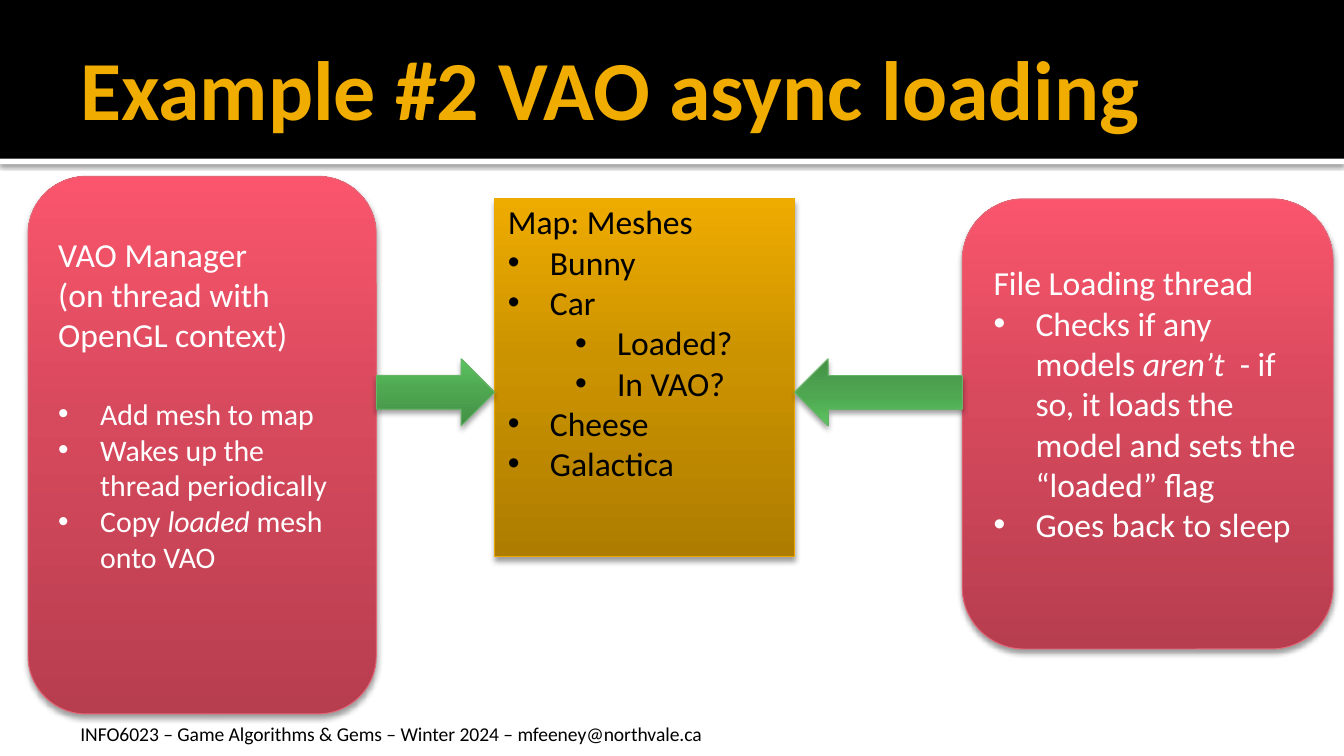
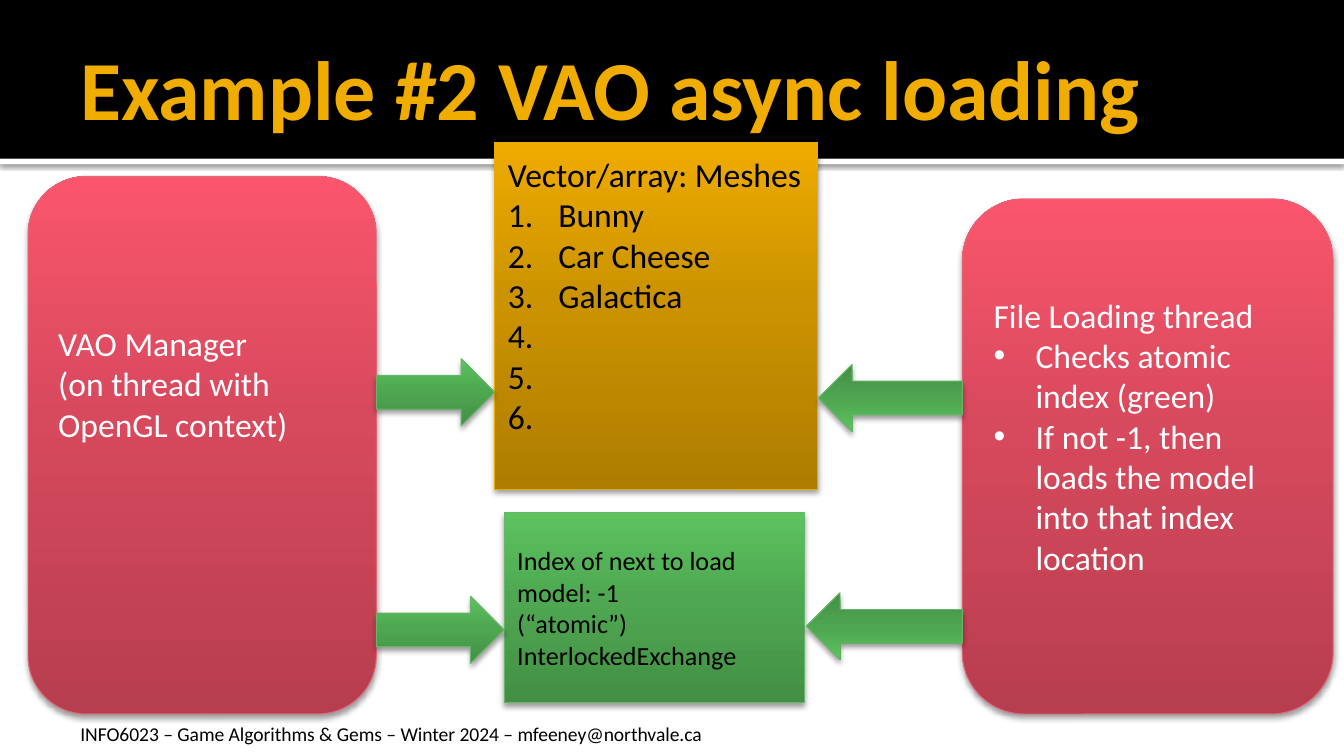
"""Builds two slides on asynchronous VAO loading."""
from dataclasses import dataclass

from pptx import Presentation
from pptx.dml.color import RGBColor
from pptx.enum.shapes import MSO_SHAPE
from pptx.enum.text import MSO_ANCHOR, PP_ALIGN
from pptx.oxml import parse_xml
from pptx.oxml.ns import nsdecls, qn
from pptx.util import Pt

RECT = MSO_SHAPE.RECTANGLE
ROUND = MSO_SHAPE.ROUNDED_RECTANGLE
ARROW = MSO_SHAPE.RIGHT_ARROW
MIDDLE = MSO_ANCHOR.MIDDLE
TOP = MSO_ANCHOR.TOP
LEFT = PP_ALIGN.LEFT

BULLET = '<a:buChar {} char="•"/>'
NUMBER = '<a:buAutoNum {} type="arabicPeriod"/>'
LIST_STYLES = {
    "plain": (0, 0, 0, None),
    "bullet": (0, 22.5, -22.5, BULLET),
    "sub": (1, 58.5, -22.5, BULLET),
    "number": (0, 27, -27, NUMBER),
}


@dataclass(frozen=True)
class Theme:
    """Colours, gradients, shadows and type sizes."""
    font: str = "Calibri"
    black: str = "000000"
    white: str = "FFFFFF"
    gold_text: str = "F0AD00"
    gold: tuple = ("AE7D00", "CC9300", "EEAB00", "EBA900")
    red: tuple = ("B73E4F", "D7495D", "FA556C", "E46778")
    green: tuple = ("438F45", "4FA851", "5CC35F", "67B569")
    box_shadow: tuple = (38, 3.1, 2)
    rule_shadow: tuple = (60, 2.5, 0.8)
    title: float = 45
    body: float = 18
    detail: float = 16
    small: float = 14
    footer: float = 10.5
    line: float = 22


class Deck:
    """Holds the theme and the current slide."""

    def __init__(self, theme):
        self.theme = theme
        self.prs = Presentation()
        self.prs.slide_width, self.prs.slide_height = Pt(720), Pt(405)
        self.s = None

    def slide(self, title):
        """Starts a slide with its band, footer and title."""
        t = self.theme
        self.s = self.prs.slides.add_slide(self.prs.slide_layouts[6])
        self.shadow(self.band(85, 3, t.white), t.rule_shadow)
        self.band(0, 85, t.black)
        self.label("INFO6023 – Game Algorithms & Gems – Winter 2024 – mfeeney@northvale.ca",
                   (36, 383, 606, 20), t.footer, t.black)
        self.label(title, (36, 9.4, 648, 74), t.title, t.gold_text, True, MIDDLE)

    def band(self, top, height, color):
        """Adds a plain full-width strip."""
        sp = self.s.shapes.add_shape(RECT, Pt(0), Pt(top), self.prs.slide_width, Pt(height))
        sp.shadow.inherit = False
        sp.fill.solid()
        sp.fill.fore_color.rgb = RGBColor.from_string(color)
        sp.line.fill.background()
        return sp

    def label(self, text, place, size, color, bold=False, anchor=TOP):
        """Adds one line of free text."""
        tf = self.s.shapes.add_textbox(*map(Pt, place)).text_frame
        tf.word_wrap = True
        tf.vertical_anchor = anchor
        tf.text = text
        self.style(tf.paragraphs[0].runs[0], size, color, bold)

    def style(self, r, size, color, bold=False):
        """Formats a run."""
        r.font.name = self.theme.font
        r.font.size = Pt(size)
        r.font.bold = bold
        r.font.color.rgb = RGBColor.from_string(color)

    def shadow(self, sp, values):
        """Gives a shape a shadow falling straight down."""
        opacity, blur, distance = values
        sp.shadow.inherit = False
        sp._element.spPr.find(qn("a:effectLst")).append(parse_xml(
            f'<a:outerShdw {nsdecls("a")} blurRad="{Pt(blur)}" dist="{Pt(distance)}" '
            f'dir="5400000" rotWithShape="0"><a:srgbClr val="{self.theme.black}">'
            f'<a:alpha val="{opacity * 1000}"/></a:srgbClr></a:outerShdw>'))

    def block(self, kind, place, palette):
        """Adds a gradient shape with outline and shadow."""
        sp = self.s.shapes.add_shape(kind, *map(Pt, place))
        sp.line.color.rgb = RGBColor.from_string(palette[3])
        sp.line.width = Pt(0.5)
        sp.fill.gradient()
        stops = "".join(f'<a:gs pos="{pos}000"><a:srgbClr val="{color}"/></a:gs>'
                        for pos, color in zip((0, 55, 100), palette))
        spPr = sp._element.spPr
        spPr.replace(spPr.find(qn("a:gradFill")), parse_xml(
            f'<a:gradFill {nsdecls("a")} rotWithShape="1"><a:gsLst>{stops}</a:gsLst>'
            '<a:lin ang="16200000" scaled="0"/></a:gradFill>'))
        self.shadow(sp, self.theme.box_shadow)
        return sp

    def box(self, kind, place, palette, color, items, size=None, top=3.6, lift=0):
        """Adds a block with text, where lift is extra room below it."""
        tf = self.block(kind, place, palette).text_frame
        tf.word_wrap = True
        tf.vertical_anchor = MIDDLE
        tf.margin_top, tf.margin_bottom = Pt(top), Pt(3.6 + lift)
        for i, (style, text, *options) in enumerate(items):
            p = tf.paragraphs[0] if i == 0 else tf.add_paragraph()
            item_size, before = options or (size or self.theme.body, 0)
            self.paragraph(p, style, text, item_size, before, color)

    def paragraph(self, p, style, text, size, before, color):
        """Fills a paragraph; asterisks enclose italics."""
        level, margin, indent, mark = LIST_STYLES[style]
        p.alignment = LEFT
        p.level = level
        p.space_before = Pt(before)
        for i, part in enumerate(text.split("*")):
            r = p.add_run()
            r.text = part
            self.style(r, size, color)
            r.font.italic = i % 2 == 1
        if mark:
            pPr = p._p.get_or_add_pPr()
            pPr.set("marL", str(Pt(margin)))
            pPr.set("indent", str(Pt(indent)))
            font = "Arial" if mark == BULLET else self.theme.font
            pPr.append(parse_xml(f'<a:buFont {nsdecls("a")} typeface="{font}"/>'))
            pPr.append(parse_xml(mark.format(nsdecls("a"))))

    def arrow(self, left, right, top, back=False):
        """Adds a green block arrow, pointing left when back is set."""
        sp = self.block(ARROW, (left, top, right - left, 36), self.theme.green)
        sp.rotation = 180 if back else 0

    def manager(self, tasks, lift):
        """Adds the VAO manager panel."""
        t = self.theme
        self.box(ROUND, (15, 94.5, 186.6, 288), t.red, t.white,
                 [("plain", "VAO Manager"), ("plain", "(on thread with OpenGL context)"), *tasks],
                 lift=lift)

    def loader(self, height, steps):
        """Adds the file loading panel."""
        t = self.theme
        self.box(ROUND, (515.5, 106.5, 198.7, height), t.red, t.white,
                 [("plain", "File Loading thread")] + [("bullet", step) for step in steps],
                 lift=t.line)


def main():
    """Builds and saves the slides."""
    t = Theme()
    deck = Deck(t)
    title = "Example #2 VAO async loading"
    manager_edge, loader_edge = 201.6, 515.5

    deck.slide(title)
    deck.box(RECT, (265, 106.5, 160.6, 191.5), t.gold, t.black, [
        ("plain", "Map: Meshes"), ("bullet", "Bunny"), ("bullet", "Car"),
        ("sub", "Loaded?"), ("sub", "In VAO?"),
        ("bullet", "Cheese"), ("bullet", "Galactica")], top=0, lift=34)
    deck.manager([("bullet", "Add mesh to map", t.detail, t.line),
                  ("bullet", "Wakes up the thread periodically", t.detail, 0),
                  ("bullet", "Copy *loaded *mesh onto VAO", t.detail, 0)], 2 * t.line)
    deck.loader(241.2, ["Checks if any models *aren’t  *- if so, it loads the model "
                        "and sets the “loaded” flag", "Goes back to sleep"])
    deck.arrow(manager_edge, 265, 192.2)
    deck.arrow(425.6, loader_edge, 192.2, back=True)

    deck.slide(title)
    meshes = ["Bunny", "Car Cheese", "Galactica", " ", " ", " "]
    deck.box(RECT, (265, 76.2, 173, 185.8), t.gold, t.black,
             [("plain", "Vector/array: Meshes")] + [("number", mesh) for mesh in meshes],
             lift=t.line)
    deck.manager([], 3 * t.line)
    deck.loader(276, ["Checks atomic index (green)",
                      "If not -1, then loads the model into that index location"])
    deck.arrow(manager_edge, 265, 192.2)
    deck.arrow(438.5, loader_edge, 195.2, back=True)
    deck.box(RECT, (270, 274.5, 160.8, 102), t.green, t.black, [
        ("plain", "Index of next to load model: -1"),
        ("plain", "(“atomic”) InterlockedExchange")], size=t.small)
    deck.arrow(manager_edge, 270, 319.5)
    deck.arrow(432, loader_edge, 317.5, back=True)

    deck.prs.save("out.pptx")


if __name__ == "__main__":
    main()
